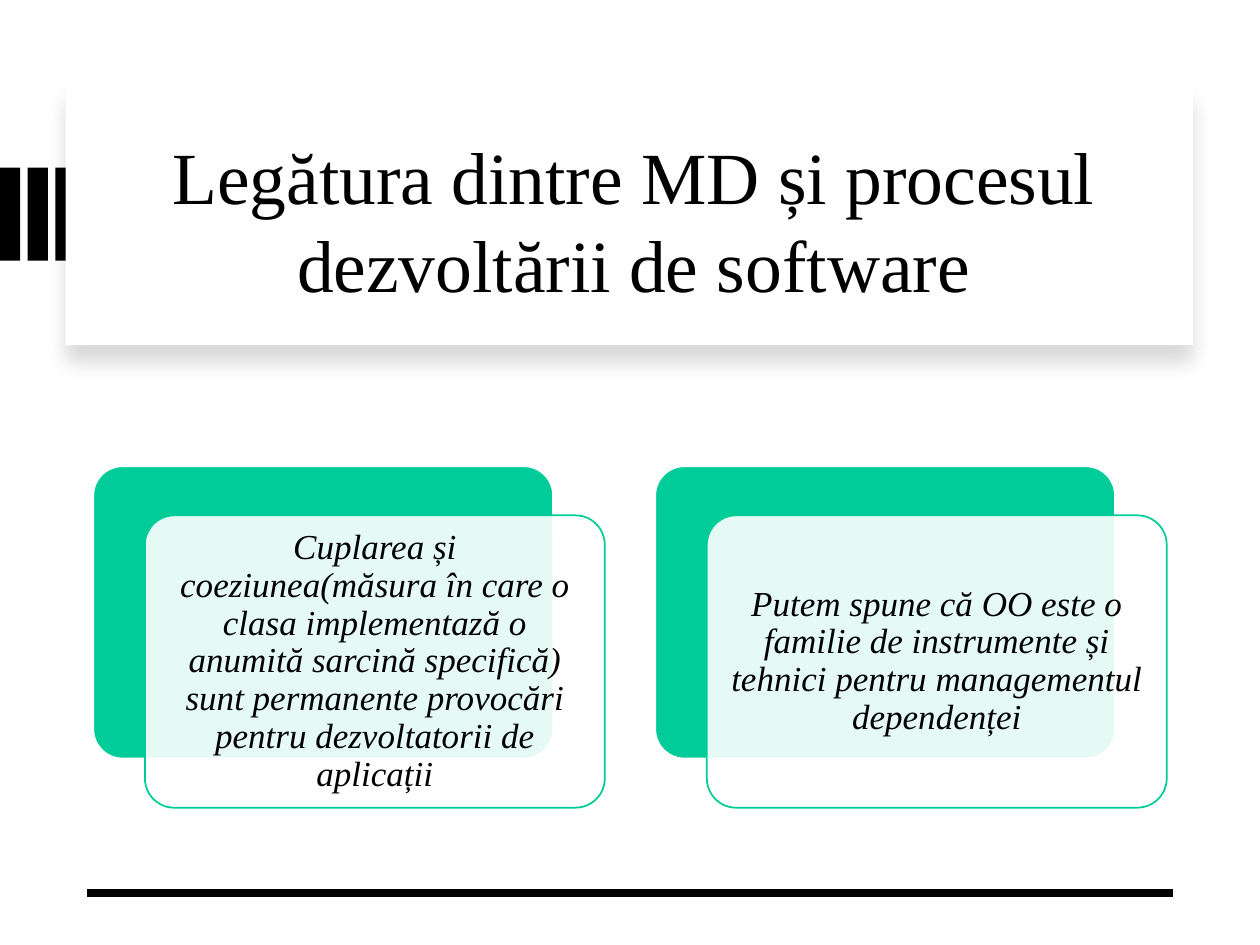
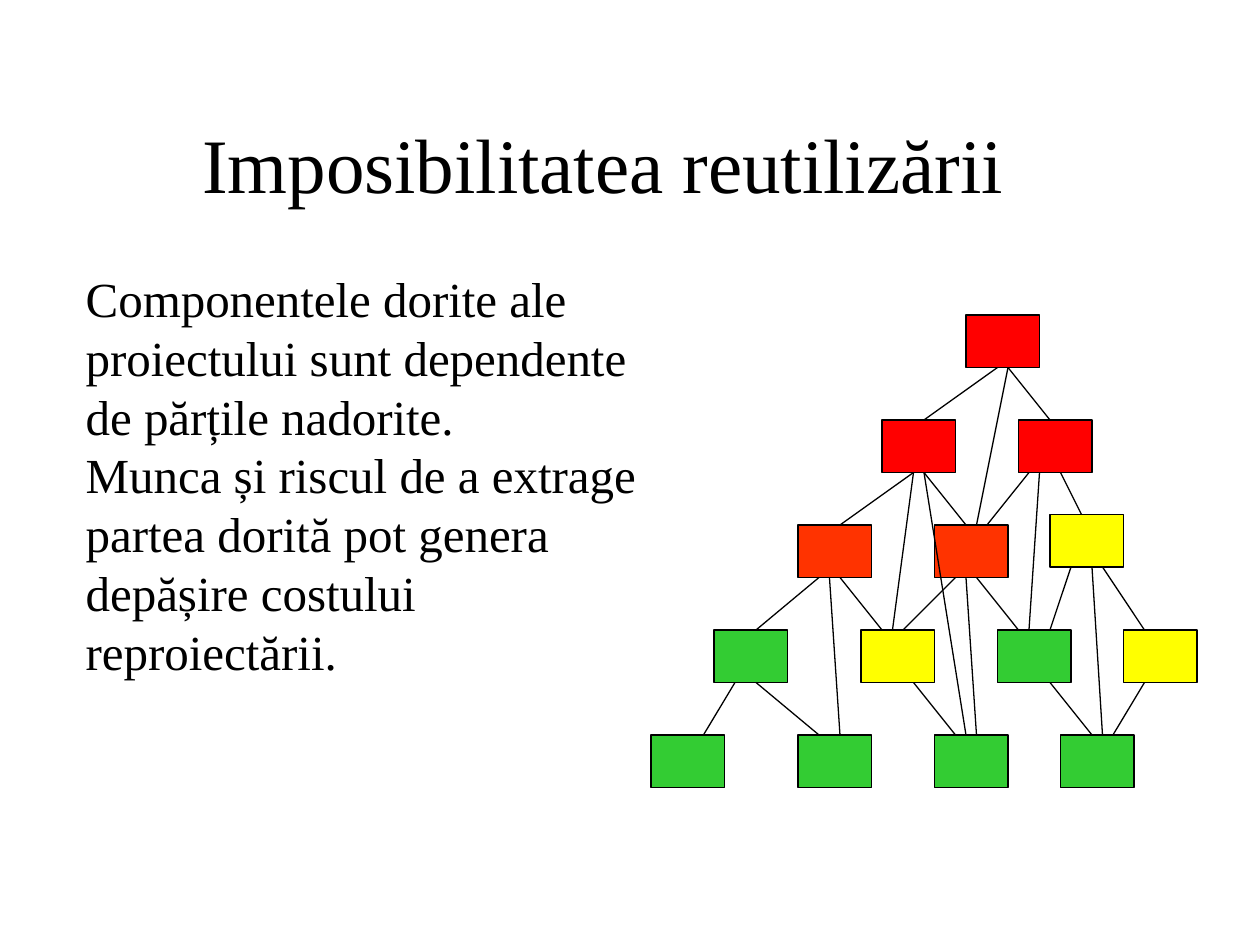
"""Build two slides on linking design methods and software work."""
from dataclasses import dataclass

from lxml import etree
from pptx import Presentation
from pptx.dml.color import RGBColor
from pptx.enum.shapes import MSO_CONNECTOR, MSO_SHAPE
from pptx.enum.text import MSO_ANCHOR, MSO_AUTO_SIZE, PP_ALIGN
from pptx.oxml.ns import qn
from pptx.util import Inches, Pt

RECT, ROUND = MSO_SHAPE.RECTANGLE, MSO_SHAPE.ROUNDED_RECTANGLE
STRAIGHT = MSO_CONNECTOR.STRAIGHT
LEFT, CENTER = PP_ALIGN.LEFT, PP_ALIGN.CENTER
TOP, MIDDLE = MSO_ANCHOR.TOP, MSO_ANCHOR.MIDDLE
NO_FIT = MSO_AUTO_SIZE.NONE

FONT = "Times New Roman"
BLACK, WHITE, TEAL = "000000", "FFFFFF", "00CC99"
RED, ORANGE, YELLOW, GREEN = "FF0000", "FF3300", "FFFF00", "33CC33"
UNIT = 1 / 12
NODE_W, NODE_H = 7, 5


@dataclass
class Box:
    """Place and size in inches."""
    x: float
    y: float
    w: float
    h: float

    def emu(self) -> tuple:
        """Give the four lengths."""
        return tuple(Inches(v) for v in (self.x, self.y, self.w, self.h))


@dataclass
class Node:
    """A part of the graph, placed in grid units."""
    x: int
    y: int
    fill: str


NODES = {
    "A": Node(92, 30, RED),
    "B": Node(84, 40, RED), "C": Node(97, 40, RED),
    "D": Node(76, 50, ORANGE), "E": Node(89, 50, ORANGE), "F": Node(100, 49, YELLOW),
    "G": Node(68, 60, GREEN), "H": Node(82, 60, YELLOW),
    "I": Node(95, 60, GREEN), "J": Node(107, 60, YELLOW),
    "K": Node(62, 70, GREEN), "L": Node(76, 70, GREEN),
    "M": Node(89, 70, GREEN), "N": Node(101, 70, GREEN),
}
EDGES = (
    "A3B4 A4C3 A4E4 B3D4 B4E3 B3H3 B4M3 C4F3 C2I3 C1E5 D2G4 D4H2 "
    "D3L4 E4I2 E2H4 E3M4 F2I5 F5J2 F4N4 G2K5 G4L2 H5M2 I5N3 J2N5"
).split()
CARDS = (
    "Cuplarea și coeziunea(măsura în care o clasa implementază o anumită sarcină "
    "specifică) sunt permanente provocări pentru dezvoltatorii de aplicații",
    "Putem spune că OO este o familie de instrumente și tehnici pentru "
    "managementul dependenței",
)
CLAIMS = (
    "Componentele dorite ale proiectului sunt dependente de părțile nadorite.",
    "Munca și riscul de a extrage partea dorită pot genera depășire costului reproiectării.",
)


def color(code: str) -> RGBColor:
    """Turn a hex string into a colour."""
    return RGBColor.from_string(code)


def write(shape, *lines: str, size: float, align=CENTER, anchor=MIDDLE,
          italic: bool = False, spacing: float = 1.0, before: float = 0,
          inset: float | None = None) -> None:
    """Fill a shape with plain text, one paragraph a line."""
    frame = shape.text_frame
    frame.word_wrap, frame.auto_size = True, NO_FIT
    frame.vertical_anchor = anchor
    if inset is not None:
        frame.margin_left = frame.margin_right = Inches(inset)
        frame.margin_top = frame.margin_bottom = Inches(inset)
    for i, line in enumerate(lines):
        para = frame.add_paragraph() if i else frame.paragraphs[0]
        para.alignment, para.line_spacing = align, spacing
        para.space_before = Pt(0 if i else before)
        run = para.add_run()
        run.text = line
        font = run.font
        font.name, font.size, font.italic = FONT, Pt(size), italic
        font.color.rgb = color(BLACK)


def place(shape, box: Box) -> None:
    """Move a shape to a box."""
    shape.left, shape.top, shape.width, shape.height = box.emu()


def draw(slide, box: Box, fill: str, *, kind=RECT, line: str | None = None,
         width: float = 1, alpha: int = 100):
    """Add a flat shape."""
    shape = slide.shapes.add_shape(kind, *box.emu())
    shape.fill.solid()
    shape.fill.fore_color.rgb = color(fill)
    if alpha < 100:
        tint = shape.element.spPr.find(".//" + qn("a:srgbClr"))
        etree.SubElement(tint, qn("a:alpha"), val=str(alpha * 1000))
    if line:
        shape.line.color.rgb = color(line)
        shape.line.width = Pt(width)
    else:
        shape.line.fill.background()
    if kind == ROUND:
        shape.adjustments[0] = 0.1
    shape.shadow.inherit = False
    return shape


def join(slide, x1: float, y1: float, x2: float, y2: float, width: float) -> None:
    """Add a black line between two points."""
    line = slide.shapes.add_connector(STRAIGHT, *(Inches(v) for v in (x1, y1, x2, y2)))
    line.line.color.rgb = color(BLACK)
    line.line.width = Pt(width)
    etree.SubElement(line.element.spPr, qn("a:effectLst"))


def shade(shape) -> None:
    """Cast a soft shadow below a shape."""
    effects = shape.element.spPr.find(qn("a:effectLst"))
    shadow = etree.SubElement(effects, qn("a:outerShdw"), blurRad=str(Pt(11)),
                              dist=str(Pt(10)), dir="5400000", rotWithShape="0")
    tint = etree.SubElement(shadow, qn("a:srgbClr"), val=BLACK)
    etree.SubElement(tint, qn("a:alpha"), val="15000")


def head(slide, text: str, box: Box, size: float) -> None:
    """Set the title and bring it to the front."""
    title = slide.shapes.title
    place(title, box)
    write(title, text, size=size)
    title.element.getparent().append(title.element)


def link_slide(deck) -> None:
    """Draw the banner and the two stacked cards."""
    slide = deck.slides.add_slide(deck.slide_layouts[5])
    for i in range(3):
        draw(slide, Box(0.22 * i, 1.33, 0.16, 0.74), BLACK)
    shade(draw(slide, Box(0.52, 0.67, 8.95, 2.07), WHITE))
    head(slide, "Legătura dintre MD și procesul dezvoltării de software",
         Box(0.86, 0.89, 8.34, 1.7), 42)
    join(slide, 0.69, 7.09, 9.31, 7.09, 4.5)
    for i, text in enumerate(CARDS):
        x = 0.74 + 4.46 * i
        draw(slide, Box(x, 3.7, 3.65, 2.32), TEAL, kind=ROUND, line=WHITE)
        card = draw(slide, Box(x + 0.41, 4.09, 3.65, 2.32), WHITE,
                    kind=ROUND, line=TEAL, alpha=90)
        write(card, text, size=20, italic=True, spacing=0.9, inset=0.08)


def reuse_slide(deck) -> None:
    """Draw the claims and the graph of parts."""
    slide = deck.slides.add_slide(deck.slide_layouts[1])
    head(slide, "Imposibilitatea reutilizării", Box(1.25, 0.75, 7.08, 1.08), 44)
    body = slide.placeholders[1]
    place(body, Box(0.58, 2.08, 4.67, 4.25))
    write(body, *CLAIMS, size=28, align=LEFT, anchor=TOP, before=5.6)
    for para in body.text_frame.paragraphs:
        props = para._p.get_or_add_pPr()
        props.set("marL", "0")
        props.set("indent", "0")
        etree.SubElement(props, qn("a:buNone"))
    for node in NODES.values():
        box = Box(*(UNIT * v for v in (node.x, node.y, NODE_W, NODE_H)))
        draw(slide, box, node.fill, line=BLACK, width=0.75)
    for start, out, end, into in EDGES:
        a, b = NODES[start], NODES[end]
        ends = (a.x + int(out), a.y + NODE_H, b.x + int(into), b.y)
        join(slide, *(UNIT * v for v in ends), 0.75)


def main() -> None:
    """Build and save the deck."""
    deck = Presentation()
    deck.slide_width, deck.slide_height = Inches(10), Inches(7.5)
    link_slide(deck)
    reuse_slide(deck)
    deck.save("out.pptx")


main()
